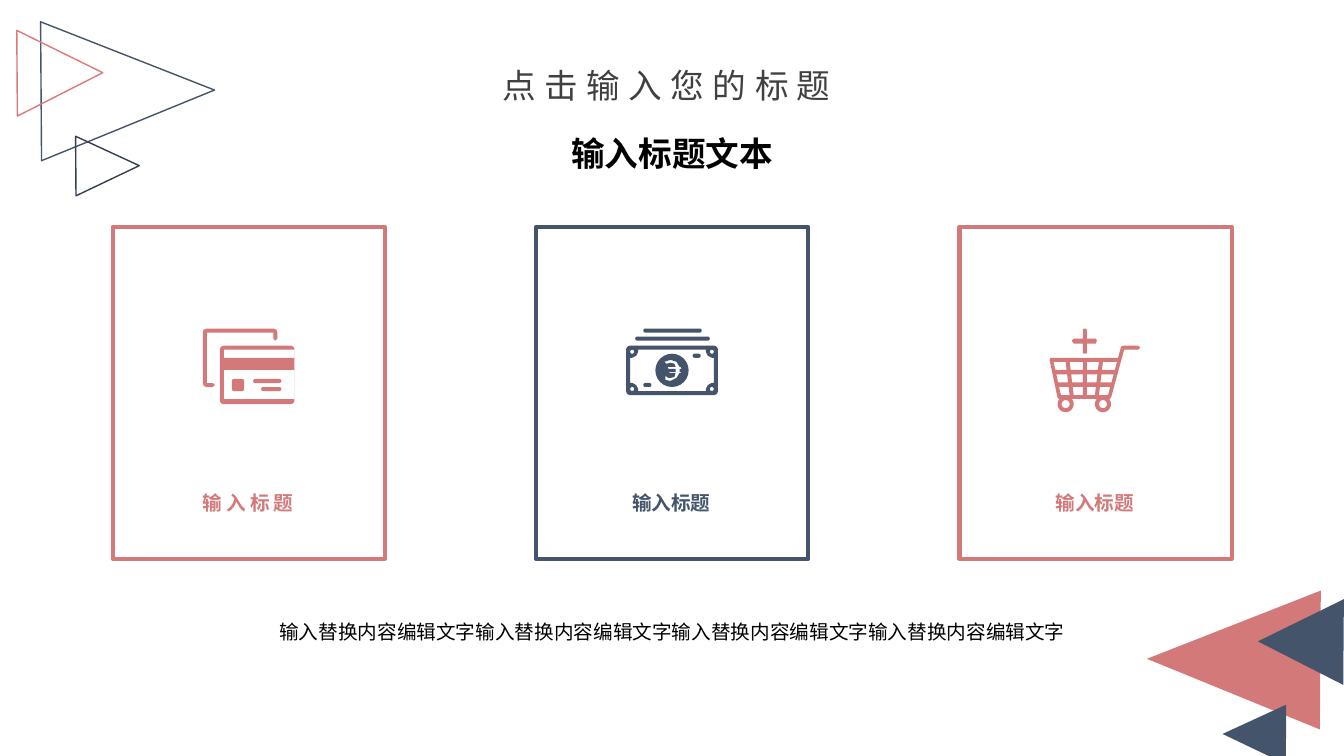
from math import cos, radians, sin

from pptx import Presentation
from pptx import util as u
from pptx.dml.color import RGBColor
from pptx.enum import shapes, text
from pptx.oxml.ns import qn
from lxml import etree

ROSE = RGBColor(0xD3, 0x79, 0x79)
PINK = RGBColor(0xDD, 0x79, 0x79)
NAVY = RGBColor(0x44, 0x54, 0x6A)
DARK = RGBColor(0x33, 0x3F, 0x50)
GREY = RGBColor(0x40, 0x40, 0x40)
BLACK = RGBColor(0, 0, 0)
FONT = "Noto Sans CJK SC"
UNIT = u.Cm(2.54) / 100


def place(item, box):
    item.left, item.top, item.width, item.height = map(u.Cm, box)


def paint(item, fill=None, line=None, width=1):
    item.shadow.inherit = False
    if fill is None:
        item.fill.background()
    else:
        item.fill.solid()
        item.fill.fore_color.rgb = fill
    if line is None:
        item.line.fill.background()
    else:
        item.line.color.rgb = line
        item.line.width = u.Pt(width)


def shape(slide, kind, box, fill=None, line=None, width=1, turn=0):
    item = slide.shapes.add_shape(kind, *map(u.Cm, box))
    item.rotation = turn
    paint(item, fill, line, width)


def write(frame, words, size, color, bold=False, gap=0):
    frame.word_wrap = True
    frame.auto_size = text.MSO_AUTO_SIZE.NONE
    frame.vertical_anchor = text.MSO_ANCHOR.MIDDLE
    frame.margin_left = frame.margin_right = 0
    frame.margin_top = frame.margin_bottom = 0
    para = frame.paragraphs[0]
    para.alignment = text.PP_ALIGN.CENTER
    run = para.add_run()
    run.text = words
    font = run.font
    font.name, font.size, font.bold = FONT, u.Pt(size), bold
    font.color.rgb = color
    props = run._r.get_or_add_rPr()
    etree.SubElement(props, qn("a:ea")).set("typeface", FONT)
    if gap:
        props.set("spc", str(gap * 100))
    return para


def label(slide, box, *args, **opts):
    item = slide.shapes.add_textbox(*map(u.Cm, box))
    return write(item.text_frame, *args, **opts)


def arc(x, y, r, start, end):
    count = max(4, (end - start) // 15)
    turns = [radians(start + (end - start) * i / count) for i in range(count + 1)]
    return [(x + r * cos(t), y + r * sin(t)) for t in turns]


def disc(x, y, r):
    return arc(x, y, r, 0, 345)


def box(x, y, w, h, r=0):
    right, low = x + w - r, y + h - r
    if not r:
        return [(x, y), (right, y), (right, low), (x, low)]
    return (arc(x + r, y + r, r, 180, 270) + arc(right, y + r, r, 270, 360)
            + arc(right, low, r, 0, 90) + arc(x + r, low, r, 90, 180))


def icon(slide, left, top, rings, color):
    scaled = [[(round(x * UNIT), round(y * UNIT)) for x, y in ring] for ring in rings]
    pen = slide.shapes.build_freeform(*scaled[0][0])
    for i, ring in enumerate(scaled):
        if i:
            pen.move_to(*ring[0])
        pen.add_line_segments(ring[1:], close=True)
    paint(pen.convert_to_shape(u.Cm(left), u.Cm(top)), color)


def cards():
    back = [(4, 0), (70, 0), (73, 1), (74, 4), (74, 10), (72, 12), (70, 10),
            (70, 4), (4, 4), (4, 54), (10, 54), (12, 56), (10, 58), (4, 58),
            (1, 57), (0, 54), (0, 4), (1, 1)]
    return [back, box(17, 17, 74, 58, 4), box(21, 21, 70, 8), box(21, 41, 70, 29),
            box(29, 50, 12, 12, 2), box(50, 50, 28, 4, 2), box(58, 58, 20, 4, 2)]


def cash():
    notch = [(4, 29), (6, 29), (10, 27), (12, 23), (12, 21)]
    half = notch + [(91 - x, y) for x, y in reversed(notch)]
    inner = half + [(x, 83 - y) for x, y in reversed(half)]
    euro = [(41, 38), (42, 40), (49, 40), (49, 43), (43, 43), (43, 44), (49, 44),
            (48, 48), (44, 49), (42, 49), (39, 47), (39, 51), (44, 52), (50, 49),
            (53, 44), (55, 44), (54, 43), (53, 43), (53, 40), (55, 40), (54, 38),
            (53, 38), (50, 33), (44, 31), (38, 33), (40, 35), (44, 34), (48, 35),
            (49, 38)]
    dots = [disc(x, y, 2) for x in (6, 85) for y in (23, 60)]
    return [box(9, 8, 74, 4, 2), box(17, 0, 58, 4, 2), box(0, 17, 91, 49, 4),
            inner, disc(45.5, 41.5, 16.5), euro,
            box(17, 54, 8, 4, 2), box(66, 25, 8, 4, 2)] + dots


def cart():
    plus = [(33, 1), (34, 0), (36, 0), (37, 1), (37, 10), (46, 10), (47, 12),
            (46, 15), (37, 15), (37, 24), (36, 25), (34, 25), (33, 24),
            (33, 15), (24, 15), (22, 12), (24, 10), (33, 10)]
    body = [(0, 31), (1, 29), (68, 29), (71, 18), (73, 17), (88, 17), (90, 19),
            (88, 21), (74, 21), (61, 69)]
    body += arc(53, 75, 8, -40, 220) + arc(16, 75, 8, -40, 220) + [(8, 69)]
    sides = [(4, 0.22, 16, 0.12), (20, 0.12, 33, 0),
             (37, 0, 49, -0.12), (53, -0.12, 67, -0.27)]
    cells = []
    for y in (33, 45.5, 58):
        up, low = y - 33, y - 25
        for a, lean, b, tilt in sides:
            cells.append([(a + lean * up, y), (b + tilt * up, y),
                          (b + tilt * low, y + 8), (a + lean * low, y + 8)])
    return [plus, body, disc(53, 75, 4), disc(16, 75, 4)] + cells


def decor(slide):
    kind = shapes.MSO_SHAPE.ISOSCELES_TRIANGLE
    for spot, color in (((29.34, 14.43, 3.5, 4.37), ROSE),
                        ((30.86, 17.7, 1.5, 1.6), NAVY),
                        ((31.7, 15.09, 2.16, 2.16), NAVY)):
        shape(slide, kind, spot, fill=color, turn=270.4)
    for spot, color in (((1.47, 0.1, 3.5, 4.37), NAVY),
                        ((1.96, 3.38, 1.5, 1.6), DARK),
                        ((0.43, 0.76, 2.16, 2.16), PINK)):
        shape(slide, kind, spot, line=color, turn=89.6)


def main():
    deck = Presentation()
    deck.slide_width, deck.slide_height = u.Cm(33.87), u.Cm(19.05)
    slide = deck.slides.add_slide(deck.slide_layouts[5])
    decor(slide)
    title = slide.shapes.title
    place(title, (11.61, 1.63, 10.39, 1.02))
    write(title.text_frame, "点击输入您的标题", 24, GREY, gap=6)
    label(slide, (9.09, 3.23, 15.7, 1.27), "输入标题文本", 24, BLACK, bold=True)
    panels = ((cards, ROSE, 3), (cash, NAVY, 0), (cart, ROSE, 0))
    for i, (draw, color, gap) in enumerate(panels):
        left = 2.84 + 10.67 * i
        shape(slide, shapes.MSO_SHAPE.RECTANGLE, (left, 5.72, 6.86, 8.36),
              line=color, width=3)
        label(slide, (left, 12.07, 6.82, 1.17), "输入标题", 14, color,
              bold=True, gap=gap)
        icon(slide, left + 2.27, 8.28, draw(), color)
    note = label(slide, (2.24, 15.09, 29.41, 1.52), "输入替换内容编辑文字" * 4, 14, BLACK)
    note.line_spacing = 1.2
    deck.save("out.pptx")


if __name__ == "__main__":
    main()
